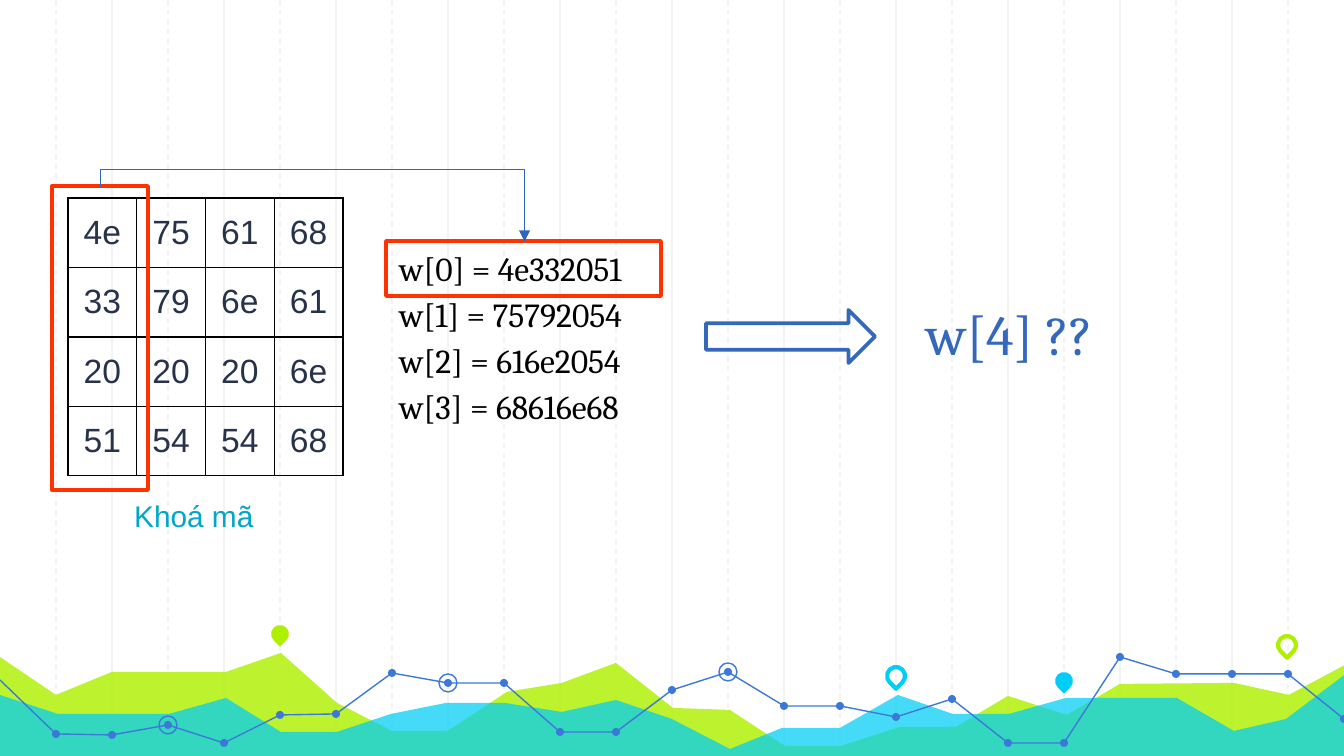
"""Build a slide that shows how key bytes become the words w[0] to w[3]."""
from dataclasses import dataclass
from typing import Any, Optional

from lxml.etree import SubElement
from pptx import Presentation
from pptx.dml.color import RGBColor
from pptx.enum.dml import MSO_LINE
from pptx.enum.shapes import MSO_CONNECTOR, MSO_SHAPE
from pptx.enum.text import MSO_ANCHOR, MSO_AUTO_SIZE, PP_ALIGN
from pptx.oxml.ns import qn
from pptx.util import Inches, Pt

SCALE = Inches(1) / 134.4
STEP = 56
COLORS = {
    "grid": "F3F3F3", "lime": "AFF000", "cyan": "00CEF6", "trend": "3C78D8",
    "ink": "28324A", "black": "000000", "caption": "00A7C8",
    "red": "FF3300", "link": "3065BB", "arrow": "3468BC",
}


@dataclass
class Area:
    color: str
    opacity: int
    points: list[tuple[int, int]]


@dataclass
class Figure:
    kind: Any
    left: int
    top: int
    width: int
    height: int
    fill: Optional[str] = None
    line: Optional[str] = None
    weight: float = 2
    rotation: int = 0


@dataclass
class Label:
    text: str
    left: int
    top: int
    width: int
    height: int
    size: int
    font: str
    color: str


AREAS = [
    Area("lime", 82, [
        (-3, 655), (56, 695), (112, 672), (226, 672), (281, 653), (337, 703), (392, 731),
        (448, 731), (507, 692), (562, 683), (616, 663), (673, 708), (730, 710), (785, 746),
        (841, 746), (900, 727), (956, 727), (1008, 696), (1067, 715), (1120, 684),
        (1234, 683), (1289, 695), (1347, 664), (1345, 758), (-4, 758)]),
    Area("cyan", 73, [
        (-3, 694), (58, 714), (169, 714), (226, 698), (281, 732), (337, 732), (391, 714),
        (446, 703), (505, 703), (562, 712), (616, 700), (672, 719), (730, 749), (782, 728),
        (840, 728), (898, 695), (953, 714), (1009, 714), (1066, 698), (1177, 698),
        (1234, 731), (1286, 719), (1347, 673), (1347, 759), (-4, 759)]),
]
TREND_HEIGHTS = [680, 734, 735, 725, 743, 715, 714, 673, 683, 683, 732, 732, 690,
                 672, 706, 706, 717, 699, 743, 743, 657, 674, 674, 674, 719]
TREND = [(STEP * index, height) for index, height in enumerate(TREND_HEIGHTS)]
TREND_PARTS = [(0, 11), (11, 20), (20, 24)]
RINGED = [3, 8, 13]
PINS = [(271, 625, "lime", None), (887, 667, None, "cyan"),
        (1055, 672, "cyan", None), (1278, 636, None, "lime")]
KEY = ["4e 75 61 68", "33 79 6e 61", "20 20 20 6e", "51 54 54 68"]
WORDS = ["w[0] = 4e332051", "w[1] = 75792054", "w[2] = 616e2054", "w[3] = 68616e68"]
FIGURES = [
    Figure(MSO_SHAPE.RECTANGLE, 52, 186, 96, 304, line="red"),
    Figure(MSO_SHAPE.RECTANGLE, 386, 241, 275, 55, line="red"),
    Figure(MSO_SHAPE.RIGHT_ARROW, 706, 310, 169, 53, line="arrow"),
]
LABELS = [
    Label("Khoá mã", 121, 491, 169, 50, 16, "Arial", "caption"),
    Label("w[4] ??", 913, 293, 224, 82, 30, "Cambria", "arrow"),
]


def emu(*pixels: float) -> list[int]:
    return [round(value * SCALE) for value in pixels]


def rgb(name: str) -> RGBColor:
    return RGBColor.from_string(COLORS[name])


def assign(target: Any, values: dict[str, Any]) -> None:
    for name, value in values.items():
        setattr(target, name, value)


def paint(shape: Any, fill: Optional[str], line: Optional[str], weight: float) -> None:
    shape.shadow.inherit = False
    if fill:
        shape.fill.solid()
        shape.fill.fore_color.rgb = rgb(fill)
    else:
        shape.fill.background()
    if line:
        shape.line.color.rgb = rgb(line)
        shape.line.width = Pt(weight)
    else:
        shape.line.fill.background()


def draw_connector(page: Any, kind: Any, ends: tuple[int, ...], color: str) -> Any:
    connector = page.shapes.add_connector(kind, *emu(*ends))
    connector.line.color.rgb = rgb(color)
    connector.line.width = Pt(0.75)
    SubElement(connector._element.spPr, qn("a:effectLst"))
    return connector


def draw_path(page: Any, points: list[tuple[int, int]], close: bool) -> Any:
    builder = page.shapes.build_freeform(*points[0], scale=SCALE)
    builder.add_line_segments(points[1:], close=close)
    return builder.convert_to_shape()


def draw_figure(page: Any, figure: Figure) -> None:
    shape = page.shapes.add_shape(
        figure.kind, *emu(figure.left, figure.top, figure.width, figure.height))
    shape.rotation = figure.rotation
    paint(shape, figure.fill, figure.line, figure.weight)


def draw_dot(page: Any, center: tuple[int, int], size: int,
             fill: Optional[str], line: Optional[str]) -> None:
    left, top = (round(value - size / 2) for value in center)
    draw_figure(page, Figure(MSO_SHAPE.OVAL, left, top, size, size, fill, line, 0.75))


def write(paragraph: Any, text: str, size: int, font: str, color: str) -> None:
    span = paragraph.add_run()
    span.text = text
    assign(span.font, {"size": Pt(size), "name": font})
    span.font.color.rgb = rgb(color)


def draw_backdrop(page: Any) -> None:
    for start, dash in ((2 * STEP, None), (STEP, MSO_LINE.DASH)):
        for x in range(start, 1344, 2 * STEP):
            rule = draw_connector(page, MSO_CONNECTOR.STRAIGHT, (x, 0, x, 759), "grid")
            rule.line.dash_style = dash
    for area in AREAS:
        shape = draw_path(page, area.points, True)
        paint(shape, area.color, None, 0)
        color = shape._element.spPr.find(qn("a:solidFill"))[0]
        SubElement(color, qn("a:alpha"), val=str(area.opacity * 1000))
    for first, last in TREND_PARTS:
        paint(draw_path(page, TREND[first:last + 1], False), None, "trend", 0.75)
    for node in TREND[1:]:
        draw_dot(page, node, 8, "trend", None)
    for index in RINGED:
        draw_dot(page, TREND[index], 18, None, "trend")
    for left, top, fill, line in PINS:
        draw_figure(page, Figure(MSO_SHAPE.TEAR, left, top, 18, 18, fill, line, 2.25, 135))


def draw_key_table(page: Any) -> None:
    table = page.shapes.add_table(4, 4, *emu(68, 198, 275, 278)).table
    assign(table, {"first_row": False, "horz_banding": False})
    for row, line in enumerate(KEY):
        for column, text in enumerate(line.split()):
            cell = table.cell(row, column)
            cell.vertical_anchor = MSO_ANCHOR.MIDDLE
            for side in ("a:lnL", "a:lnR", "a:lnT", "a:lnB"):
                border = SubElement(cell._tc.get_or_add_tcPr(), qn(side), w=str(Pt(0.75)))
                solid = SubElement(border, qn("a:solidFill"))
                SubElement(solid, qn("a:srgbClr"), val=COLORS["black"])
            cell.fill.background()
            paragraph = cell.text_frame.paragraphs[0]
            paragraph.alignment = PP_ALIGN.CENTER
            write(paragraph, text, 18, "Arial", "ink")


def fill_word_list(page: Any) -> None:
    box = page.placeholders[1]
    assign(box, dict(zip(("left", "top", "width", "height"), emu(386, 241, 320, 194))))
    page.shapes._spTree.append(box._element)
    frame = box.text_frame
    assign(frame, {"word_wrap": True, "auto_size": MSO_AUTO_SIZE.NONE})
    for index, text in enumerate(WORDS):
        paragraph = frame.add_paragraph() if index else frame.paragraphs[0]
        assign(paragraph, {"space_before": Pt(0), "space_after": Pt(3)})
        properties = paragraph._p.get_or_add_pPr()
        properties.set("marL", "0")
        properties.set("indent", "0")
        SubElement(properties, qn("a:buNone"))
        write(paragraph, text, 18, "Cambria", "black")


def draw_column_link(page: Any) -> None:
    link = draw_connector(page, MSO_CONNECTOR.ELBOW, (340, 2, 285, 426), "link")
    properties = link._element.spPr
    properties.find(qn("a:xfrm")).set("rot", str(270 * 60000))
    guides = properties.find(qn("a:prstGeom")).find(qn("a:avLst"))
    SubElement(guides, qn("a:gd"), name="adj1", fmla="val -30700")
    SubElement(properties.find(qn("a:ln")), qn("a:tailEnd"), type="triangle")


def draw_label(page: Any, label: Label) -> None:
    box = page.shapes.add_textbox(*emu(label.left, label.top, label.width, label.height))
    assign(box.text_frame, {"word_wrap": True, "auto_size": MSO_AUTO_SIZE.SHAPE_TO_FIT_TEXT})
    write(box.text_frame.paragraphs[0], label.text, label.size, label.font, label.color)


def main() -> None:
    deck = Presentation()
    deck.slide_width, deck.slide_height = emu(1344, 756)
    page = deck.slides.add_slide(deck.slide_layouts[1])
    title = page.shapes.title._element
    title.getparent().remove(title)
    draw_backdrop(page)
    draw_key_table(page)
    fill_word_list(page)
    for figure in FIGURES:
        draw_figure(page, figure)
    draw_column_link(page)
    for label in LABELS:
        draw_label(page, label)
    deck.save("out.pptx")


main()
